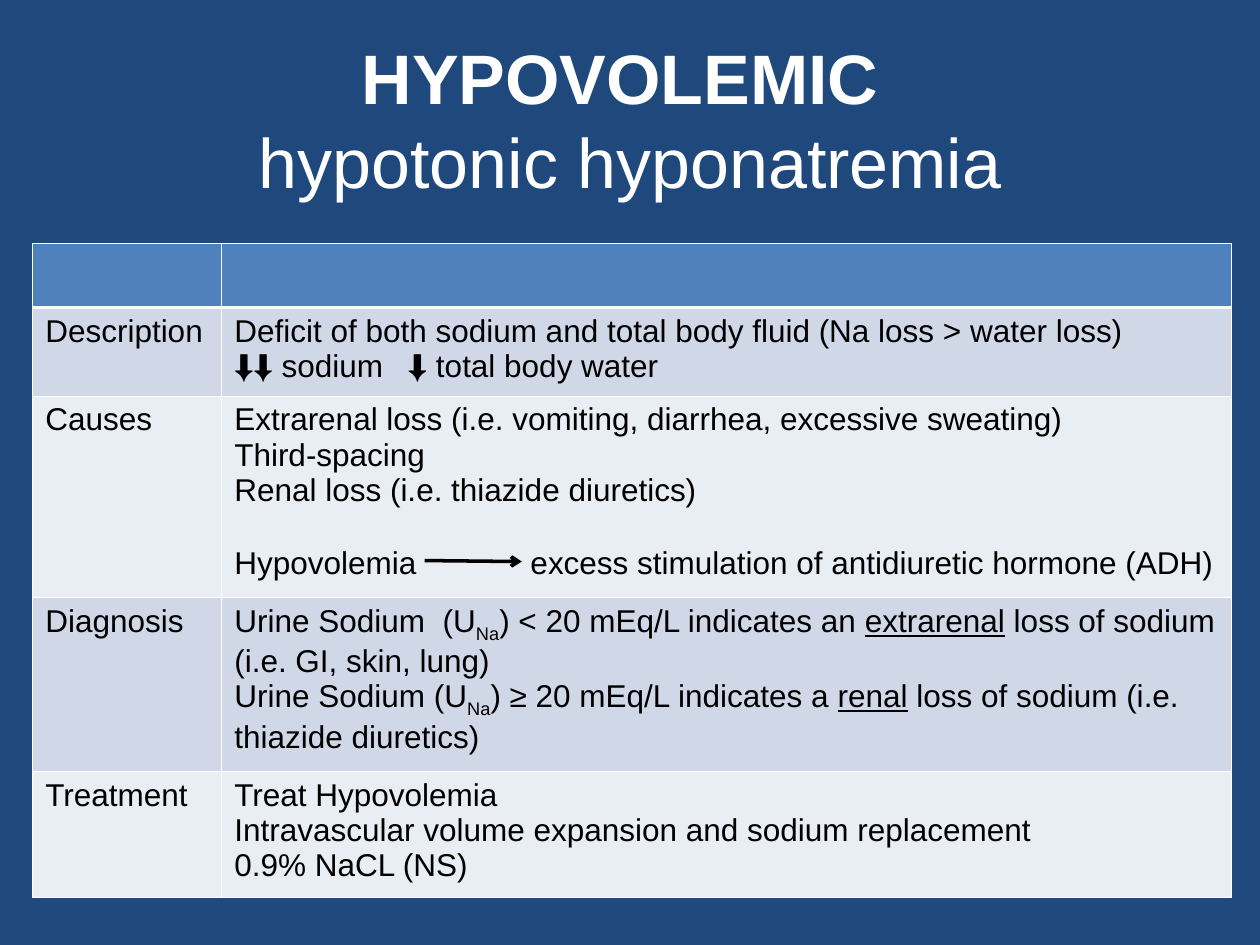
from lxml.etree import SubElement
from pptx import Presentation
from pptx.dml.color import RGBColor
from pptx.enum.shapes import MSO_CONNECTOR as Connector
from pptx.enum.text import MSO_ANCHOR as Anchor, PP_ALIGN as Align
from pptx.oxml import parse_xml
from pptx.oxml.ns import nsdecls, qn
from pptx.util import Cm, Pt

THEME = {
    "font": "Arial", "title_size": 40, "title_pitch": 48, "body_size": 18,
    "background": "1F497D", "title": "FFFFFF", "text": "000000", "border": "FFFFFF",
    "header": "4F81BD", "bands": ("D0D8E8", "E9EDF4"),
    "thin": 0.45, "thick": 1.47, "arrow": 2,
}
TITLE = "HYPOVOLEMIC \vhypotonic hyponatremia"
SUB, UNDER = "subscript", "underline"
ROWS = [
    ("", [[("", None)]]),
    ("Description", [
        [("Deficit of both sodium and total body fluid (Na loss > water loss)", None)],
        [("⬇⬇ sodium\t⬇ total body water", None)],
    ]),
    ("Causes", [
        [("Extrarenal loss (i.e. vomiting, diarrhea, excessive sweating)", None)],
        [("Third-spacing", None)],
        [("Renal loss (i.e. thiazide diuretics)", None)],
        [("Hypovolemia\texcess stimulation of antidiuretic hormone (ADH)", None)],
    ]),
    ("Diagnosis", [
        [("Urine Sodium  (U", None), ("Na", SUB), (") < 20 mEq/L indicates an ", None),
         ("extrarenal", UNDER), (" loss of sodium (i.e. GI, skin, lung)", None)],
        [("Urine Sodium (U", None), ("Na", SUB), (") ≥ 20 mEq/L indicates a ", None),
         ("renal", UNDER), (" loss of sodium (i.e. thiazide diuretics)", None)],
    ]),
    ("Treatment", [
        [("Treat Hypovolemia", None)],
        [("Intravascular volume expansion and sodium replacement", None)],
        [("0.9% NaCL (NS)", None)],
    ]),
]
TAB_STOPS = {"⬇⬇": 3.5, "Hypovolemia": 5.97}
SPACE_BEFORE = {"Hypovolemia": 21.5}
COLUMN_WIDTHS = (3.81, 20.35)
ROW_HEIGHTS = (1.3, 1.78, 4.06, 3.51, 2.54)
TABLE_LEFT, TABLE_TOP = 0.66, 4.9


def style_font(font, size, color):
    font.name, font.size = THEME["font"], Pt(size)
    font.color.rgb = RGBColor.from_string(color)


def add_title(page):
    box = page.shapes.add_textbox(Cm(1.27), Cm(0.8), Cm(22.86), Cm(3.18))
    frame = box.text_frame
    frame.word_wrap, frame.vertical_anchor = True, Anchor.MIDDLE
    frame.text = TITLE
    para = frame.paragraphs[0]
    para.alignment, para.line_spacing = Align.CENTER, Pt(THEME["title_pitch"])
    for span in para.runs:
        style_font(span.font, THEME["title_size"], THEME["title"])
    para.runs[0].font.bold = True


def write_para(para, spans):
    key = spans[0][0].split(" ")[0].split("\t")[0]
    if key in SPACE_BEFORE:
        para.space_before = Pt(SPACE_BEFORE[key])
    if key in TAB_STOPS:
        stops = SubElement(para._p.get_or_add_pPr(), qn("a:tabLst"))
        SubElement(stops, qn("a:tab"), pos=str(Cm(TAB_STOPS[key])), algn="l")
    style_font(para.font, THEME["body_size"], THEME["text"])
    for text, style in spans:
        span = para.add_run()
        span.text = text
        style_font(span.font, THEME["body_size"], THEME["text"])
        if style == UNDER:
            span.font.underline = True
        elif style == SUB:
            span.font._element.set("baseline", "-25000")


def paint_cell(cell, row):
    cell.fill.solid()
    color = THEME["bands"][(row - 1) % 2] if row else THEME["header"]
    cell.fill.fore_color.rgb = RGBColor.from_string(color)
    for place, side in enumerate("LRTB"):
        under_header = (row, side) in ((0, "B"), (1, "T"))
        width = Pt(THEME["thick" if under_header else "thin"])
        cell._tc.get_or_add_tcPr().insert(place, parse_xml(
            f'<a:ln{side} {nsdecls("a")} w="{width}"><a:solidFill>'
            f'<a:srgbClr val="{THEME["border"]}"/></a:solidFill></a:ln{side}>'))


def add_summary(page):
    table = page.shapes.add_table(
        len(ROWS), len(COLUMN_WIDTHS), Cm(TABLE_LEFT), Cm(TABLE_TOP),
        Cm(sum(COLUMN_WIDTHS)), Cm(sum(ROW_HEIGHTS))).table
    for column, width in zip(table.columns, COLUMN_WIDTHS):
        column.width = Cm(width)
    for row, (label, details) in enumerate(ROWS):
        table.rows[row].height = Cm(ROW_HEIGHTS[row])
        for column, paras in enumerate(([[(label, None)]], details)):
            cell = table.cell(row, column)
            paint_cell(cell, row)
            frame = cell.text_frame
            for index, spans in enumerate(paras):
                write_para(frame.add_paragraph() if index else frame.paragraphs[0], spans)


def add_arrow(page):
    arrow = page.shapes.add_connector(
        Connector.STRAIGHT, Cm(8.56), Cm(11.3), Cm(10.52), Cm(11.32))
    arrow.line.width = Pt(THEME["arrow"])
    arrow.line.color.rgb = RGBColor.from_string(THEME["text"])
    SubElement(arrow.line._get_or_add_ln(), qn("a:tailEnd"), type="arrow")
    SubElement(arrow._element.spPr, qn("a:effectLst"))


def main():
    """Build the hypovolemic hyponatremia summary slide."""
    deck = Presentation()
    deck.slide_width, deck.slide_height = Cm(25.4), Cm(19.05)
    page = deck.slides.add_slide(deck.slide_layouts[6])
    page.background.fill.solid()
    page.background.fill.fore_color.rgb = RGBColor.from_string(THEME["background"])
    add_title(page)
    add_summary(page)
    add_arrow(page)
    deck.save("out.pptx")


if __name__ == "__main__":
    main()
